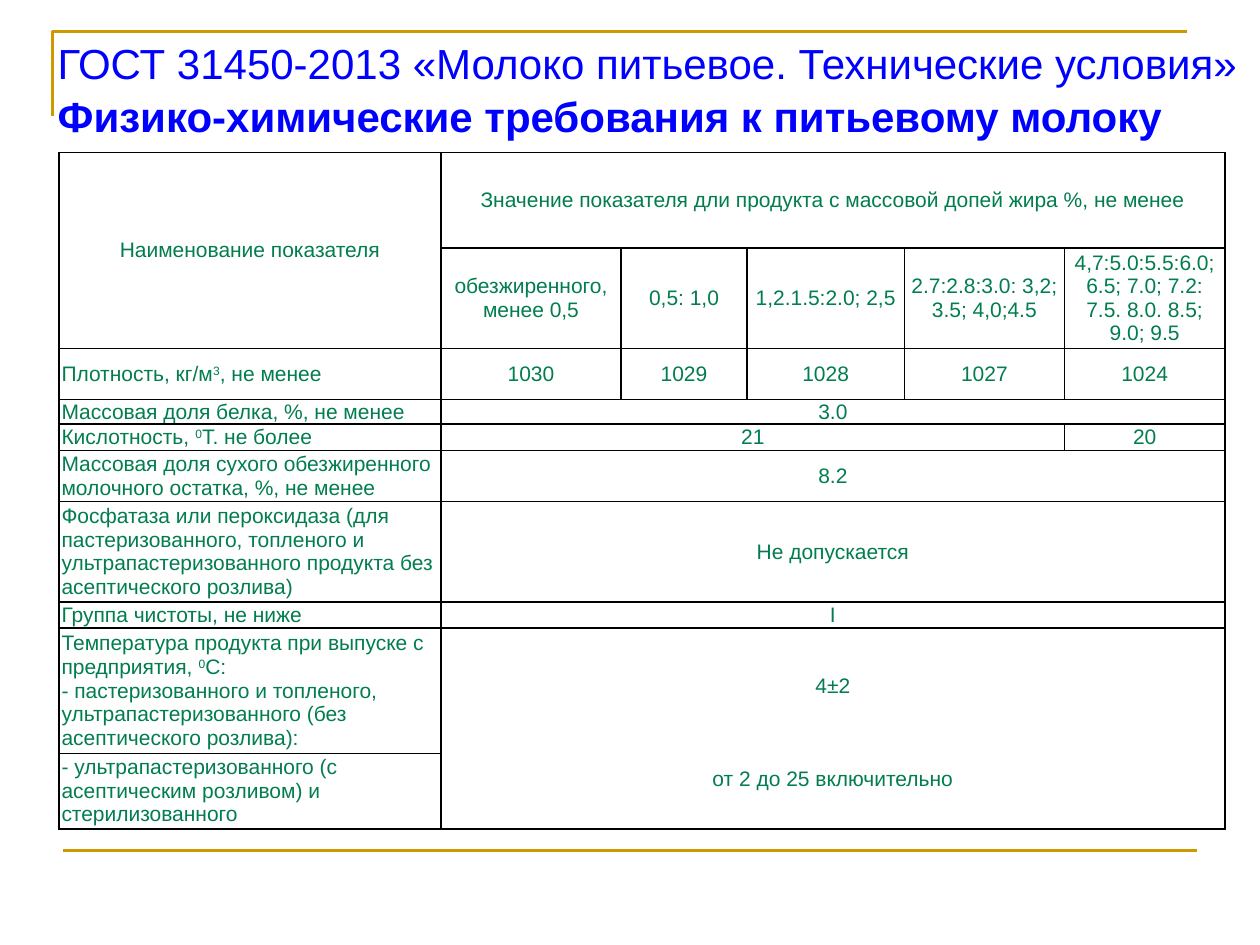
from dataclasses import dataclass

from lxml.etree import SubElement
from pptx import Presentation
from pptx.dml.color import RGBColor
from pptx.enum.shapes import MSO_CONNECTOR
from pptx.enum.text import MSO_ANCHOR, PP_ALIGN
from pptx.oxml import parse_xml
from pptx.oxml.ns import nsdecls, qn
from pptx.util import Cm, Pt

COLORS = {
    "gold": "CC9900",
    "title": "0000FF",
    "text": "017D4E",
    "border": "000000",
    "cell": "FFFFFF",
}
COLUMN_WIDTHS = [7.7, 3.63, 2.54, 3.17, 3.23, 3.23]
ROW_HEIGHTS = [1.93, 2.03, 1.02, 0.5, 0.53, 1.03, 2.03, 0.52, 2.53, 1.52]
CELL_MARGINS = {"margin_left": Cm(0.05), "margin_right": Cm(0.05),
                "margin_top": 0, "margin_bottom": 0}


@dataclass
class Entry:
    row: int
    column: int
    text: str
    rows: int = 1
    columns: int = 1


HEADINGS = [
    Entry(0, 0, "Наименование показателя", rows=2),
    Entry(0, 1, "Значение показателя дли продукта с массовой допей жира %, не менее", columns=5),
]
FAT_GROUPS = [
    ("обезжиренного, менее 0,5", "1030"),
    ("0,5: 1,0", "1029"),
    ("1,2.1.5:2.0; 2,5", "1028"),
    ("2.7:2.8:3.0: 3,2; 3.5; 4,0;4.5", "1027"),
    ("4,7:5.0:5.5:6.0; 6.5; 7.0; 7.2: 7.5. 8.0. 8.5; 9.0; 9.5", "1024"),
]
INDICATORS = [
    "Плотность, кг/м^3^, не менее",
    "Массовая доля белка, %, не менее",
    "Кислотность, ^0^Т. не более",
    "Массовая доля сухого обезжиренного молочного остатка, %, не менее",
    "Фосфатаза или пероксидаза (для пастеризованного, топленого и "
    "ультрапастеризованного продукта без асептического розлива)",
    "Группа чистоты, не ниже",
    "Температура продукта при выпуске с предприятия, ^0^С:\n"
    "- пастеризованного и топленого, ультрапастеризованного (без асептического розлива):",
    "- ультрапастеризованного (с асептическим розливом) и стерилизованного",
]
VALUES = [
    Entry(3, 1, "3.0", columns=5),
    Entry(4, 1, "21", columns=4),
    Entry(4, 5, "20"),
    Entry(5, 1, "8.2", columns=5),
    Entry(6, 1, "Не допускается", columns=5),
    Entry(7, 1, "I", columns=5),
]
TEMPERATURE = Entry(8, 1, "4±2\nот 2 до 25 включительно", rows=2, columns=5)


def color(name: str) -> RGBColor:
    return RGBColor.from_string(COLORS[name])


def apply(target, values: dict) -> None:
    for name, value in values.items():
        setattr(target, name, value)


def format_font(font, size: int, color_name: str, bold: bool = False) -> None:
    apply(font, {"size": Pt(size), "name": "Arial", "bold": bold})
    font.color.rgb = color(color_name)


def format_cell(cell) -> None:
    apply(cell, CELL_MARGINS)
    cell.vertical_anchor = MSO_ANCHOR.MIDDLE
    cell.fill.solid()
    cell.fill.fore_color.rgb = color("cell")
    properties = cell._tc.get_or_add_tcPr()
    for index, side in enumerate(("lnL", "lnR", "lnT", "lnB")):
        properties.insert(index, parse_xml(
            f'<a:{side} {nsdecls("a")} w="{Pt(1)}"><a:solidFill>'
            f'<a:srgbClr val="{COLORS["border"]}"/></a:solidFill></a:{side}>'))


def fill_entry(table, entry: Entry) -> None:
    cell = table.cell(entry.row, entry.column)
    if entry.rows * entry.columns > 1:
        cell.merge(table.cell(entry.row + entry.rows - 1, entry.column + entry.columns - 1))
    centered = entry.column > 0 or entry.row == 0
    frame = cell.text_frame
    for index, line in enumerate(entry.text.split("\n")):
        paragraph = frame.add_paragraph() if index else frame.paragraphs[0]
        paragraph.alignment = PP_ALIGN.CENTER if centered else PP_ALIGN.LEFT
        for position, piece in enumerate(line.split("^")):
            span = paragraph.add_run()
            span.text = piece
            format_font(span.font, 12, "text")
            if position % 2:
                span._r.get_or_add_rPr().set("baseline", "30000")


def add_requirements(page) -> None:
    frame = page.shapes.add_table(
        len(ROW_HEIGHTS), len(COLUMN_WIDTHS), Cm(1.19), Cm(3.07),
        Cm(sum(COLUMN_WIDTHS)), Cm(sum(ROW_HEIGHTS)))
    table = frame.table
    apply(table, {"first_row": False, "horz_banding": False})
    for column, width in zip(table.columns, COLUMN_WIDTHS):
        column.width = Cm(width)
    for row, height in zip(table.rows, ROW_HEIGHTS):
        row.height = Cm(height)
    for cell in table.iter_cells():
        format_cell(cell)

    entries = HEADINGS + VALUES + [TEMPERATURE]
    for column, (group, density) in enumerate(FAT_GROUPS, start=1):
        entries += [Entry(1, column, group), Entry(2, column, density)]
    entries += [Entry(row, 0, text) for row, text in enumerate(INDICATORS, start=2)]
    for entry in entries:
        fill_entry(table, entry)

    temperature = table.cell(TEMPERATURE.row, TEMPERATURE.column)
    apply(temperature, {"vertical_anchor": MSO_ANCHOR.TOP, "margin_top": Cm(0.93)})
    temperature.text_frame.paragraphs[1].space_before = Pt(40)


def add_title(page) -> None:
    box = page.shapes.title
    apply(box, {"left": Cm(0.91), "top": Cm(0.56), "width": Cm(24.31), "height": Cm(2.31)})
    frame = box.text_frame
    apply(frame, {"word_wrap": True, "vertical_anchor": MSO_ANCHOR.TOP})
    lines = ["ГОСТ 31450-2013 «Молоко питьевое. Технические условия»",
             "Физико-химические требования к питьевому молоку"]
    for index, line in enumerate(lines):
        paragraph = frame.add_paragraph() if index else frame.paragraphs[0]
        apply(paragraph, {"alignment": PP_ALIGN.LEFT, "line_spacing": 1.06})
        span = paragraph.add_run()
        span.text = line
        format_font(span.font, 24, "title", bold=index == 1)


def format_line(line) -> None:
    line.color.rgb = color("gold")
    line.width = Pt(1.5)


def add_frame_lines(page) -> None:
    left, top, right = Cm(1.06), Cm(0.64), Cm(23.92)
    builder = page.shapes.build_freeform(left, Cm(2.33))
    builder.add_line_segments([(left, top), (right, top)], close=False)
    corner = builder.convert_to_shape()
    corner.shadow.inherit = False
    corner.fill.background()
    format_line(corner.line)

    footer = page.shapes.add_connector(
        MSO_CONNECTOR.STRAIGHT, Cm(1.27), Cm(17.15), Cm(24.13), Cm(17.15))
    format_line(footer.line)
    SubElement(footer._element.spPr, qn("a:effectLst"))


def main() -> None:
    deck = Presentation()
    apply(deck, {"slide_width": Cm(25.4), "slide_height": Cm(19.05)})
    page = deck.slides.add_slide(deck.slide_layouts[5])
    add_frame_lines(page)
    add_requirements(page)
    add_title(page)
    deck.save("out.pptx")


if __name__ == "__main__":
    main()
